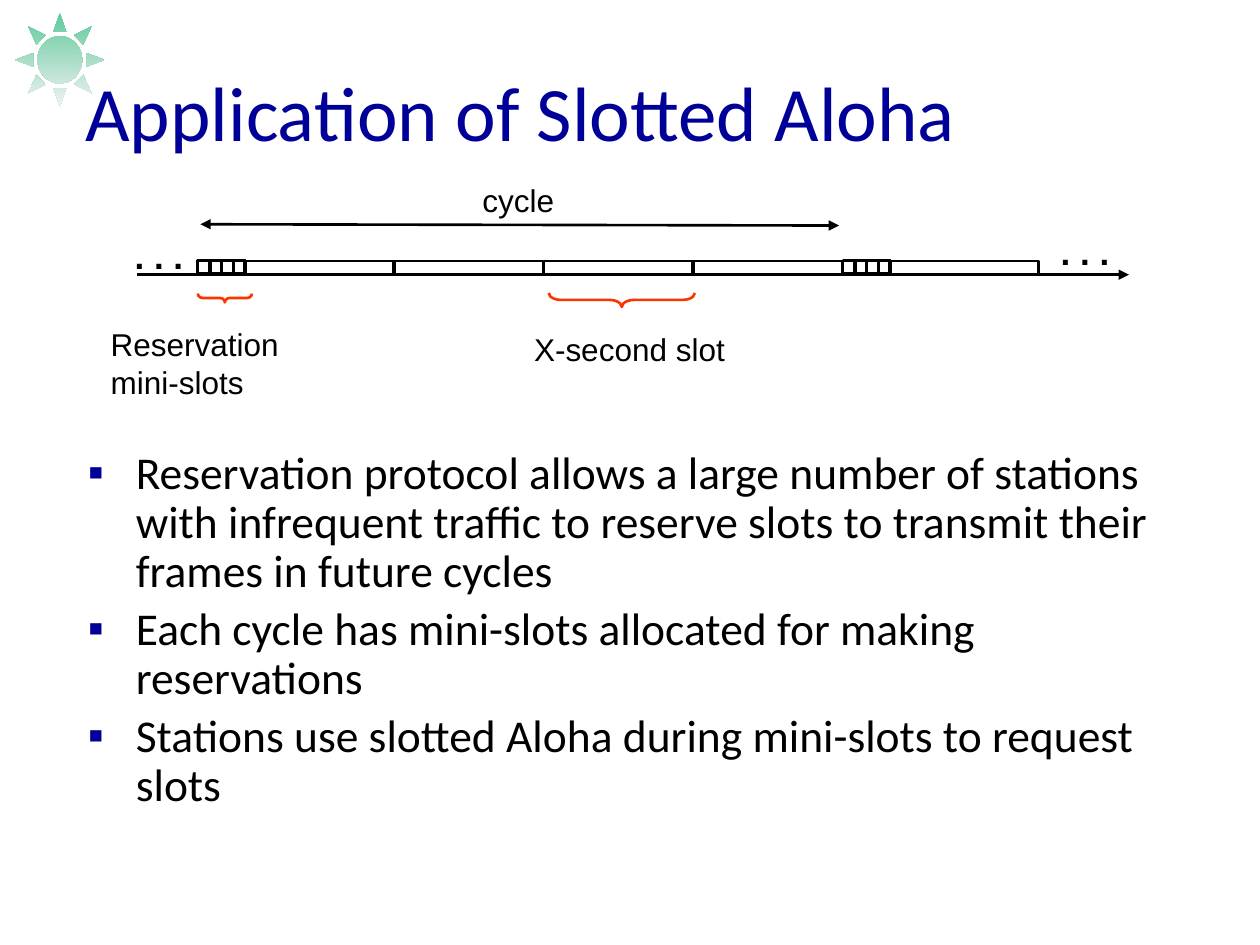
from lxml import etree
from pptx import Presentation
from pptx.dml.color import RGBColor
from pptx.enum.shapes import MSO_CONNECTOR as LINK, MSO_SHAPE as SHAPE
from pptx.enum.text import MSO_ANCHOR as ANCHOR, MSO_AUTO_SIZE as FIT
from pptx.oxml.ns import qn
from pptx.util import Inches, Pt

COLUMNS, ROWS = 100, 75
BLACK, NAVY, RED = "000000", "000099", "FF3300"
TITLE = {"name": "Calibri", "size": Pt(44)}
BODY = {"name": "Calibri", "size": Pt(26)}
LABEL = {"name": "Arial", "size": Pt(18)}
DOTS = {"name": "Arial", "size": Pt(20), "bold": True}


def rgb(value):
    return RGBColor.from_string(value)


def add_xml(parent, tag, **attributes):
    child = etree.SubElement(parent, qn(tag))
    for key, value in attributes.items():
        child.set(key, value)
    return child


class SlideBuilder:
    """Holds the slide and line style; all lengths are grid columns and rows."""

    def __init__(self, deck, line_width=1.5):
        self.slide = deck.slides.add_slide(deck.slide_layouts[6])
        self.column = deck.slide_width / COLUMNS
        self.row = deck.slide_height / ROWS
        self.line_width = Pt(line_width)

    def place(self, x, y):
        return round(x * self.column), round(y * self.row)

    def text(self, box, paragraphs, style, color=BLACK, wrap=True, anchor=ANCHOR.TOP, fit=FIT.NONE):
        shape = self.slide.shapes.add_textbox(*self.place(*box[:2]), *self.place(*box[2:]))
        frame = shape.text_frame
        frame.text = "\n".join(paragraphs)
        settings = {"word_wrap": wrap, "vertical_anchor": anchor, "auto_size": fit}
        for key, value in settings.items():
            setattr(frame, key, value)
        for paragraph in frame.paragraphs:
            font = paragraph.runs[0].font
            font.color.rgb = rgb(color)
            for key, value in style.items():
                setattr(font, key, value)
        return frame

    def label(self, box, words, style=LABEL, wrap=False):
        self.text(box, [words], style, wrap=wrap, fit=FIT.SHAPE_TO_FIT_TEXT)

    def bullets(self, box, points):
        indent = Inches(0.38)
        for paragraph in self.text(box, points, BODY).paragraphs:
            paragraph.line_spacing = 0.9
            props = paragraph._p.get_or_add_pPr()
            props.set("marL", str(indent))
            props.set("indent", str(-indent))
            add_xml(add_xml(props, "a:spcBef"), "a:spcPct", val="20000")
            add_xml(add_xml(props, "a:buClr"), "a:srgbClr", val=NAVY)
            add_xml(props, "a:buFont", typeface="Arial")
            add_xml(props, "a:buChar", char="▪")

    def outline(self, kind, box, color=BLACK):
        shape = self.slide.shapes.add_shape(kind, *self.place(*box[:2]), *self.place(*box[2:]))
        shape.shadow.inherit = False
        shape.fill.background()
        shape.line.color.rgb = rgb(color)
        shape.line.width = self.line_width
        return shape

    def brace_below(self, left, top, width, depth, curl):
        """Brace pointing down; the box is the one it covers once turned."""
        middle_x, middle_y = left + width / 2, top + depth / 2
        box = (middle_x - depth / 2, middle_y - width / 2, depth, width)
        brace = self.outline(SHAPE.LEFT_BRACE, box, RED)
        brace.rotation = 270
        brace.adjustments[0] = curl

    def arrow(self, start, end, heads=("a:tailEnd",)):
        link = self.slide.shapes.add_connector(LINK.STRAIGHT, *self.place(*start), *self.place(*end))
        link.line.color.rgb = rgb(BLACK)
        link.line.width = self.line_width
        for head in heads:
            add_xml(link.line._get_or_add_ln(), head, type="triangle")
        add_xml(link._element.spPr, "a:effectLst")

    def sun(self, box, top_color, bottom_color):
        shape = self.outline(SHAPE.SUN, box)
        shape.line.fill.background()
        shape.fill.gradient()
        shape.fill.gradient_angle = 270
        for stop, color in zip(shape.fill.gradient_stops, (top_color, bottom_color)):
            stop.color.rgb = rgb(color)

    def cycle(self, left, data_slots, top=20.7, mini_pitch=0.93, data_pitch=11.88):
        """Four reservation mini-slots followed by the given data slots."""
        for index in range(4):
            self.outline(SHAPE.RECTANGLE, (left + index * mini_pitch, top, 1, 1))
        data_left = left + 4 * mini_pitch
        for index in range(data_slots):
            self.outline(SHAPE.RECTANGLE, (data_left + index * data_pitch, top, 11.8, 1.1))


def main():
    deck = Presentation()
    deck.slide_width, deck.slide_height = Inches(10), Inches(7.5)
    page = SlideBuilder(deck)

    page.text((5.8, 2.5, 85, 12.5), ["Application of Slotted Aloha"], TITLE, NAVY, anchor=ANCHOR.MIDDLE)
    page.bullets((6, 35.2, 90, 33.1), [
        "Reservation protocol allows a large number of stations with infrequent traffic "
        "to reserve slots to transmit their frames in future cycles",
        "Each cycle has mini-slots allocated for making reservations",
        "Stations use slotted Aloha during mini-slots to request slots",
    ])

    page.arrow((10.9, 21.8), (89.6, 21.8))
    page.cycle(15.7, data_slots=4)
    page.cycle(66.9, data_slots=1)
    page.arrow((15.9, 17.8), (66.6, 17.9), heads=("a:headEnd", "a:tailEnd"))
    page.label((37.3, 13.9, 7.7, 4), "cycle")

    page.brace_below(43.55, 23.25, 11.6, 1.1, curl=0.89)
    page.label((41.4, 25.7, 17.2, 4), "X-second slot")
    page.brace_below(15.7, 23.3, 4.3, 0.7, curl=0.54)
    page.label((7.8, 25.3, 19.8, 7), "Reservation mini-slots", wrap=True)

    for left, top in ((83.2, 17.8), (9.7, 18.1)):
        page.label((left, top, 6.2, 4.3), ". . .", DOTS)
    page.sun((1.2, 1, 7.1, 7.5), "60C99C", "F2F2F2")

    deck.save("out.pptx")


if __name__ == "__main__":
    main()
